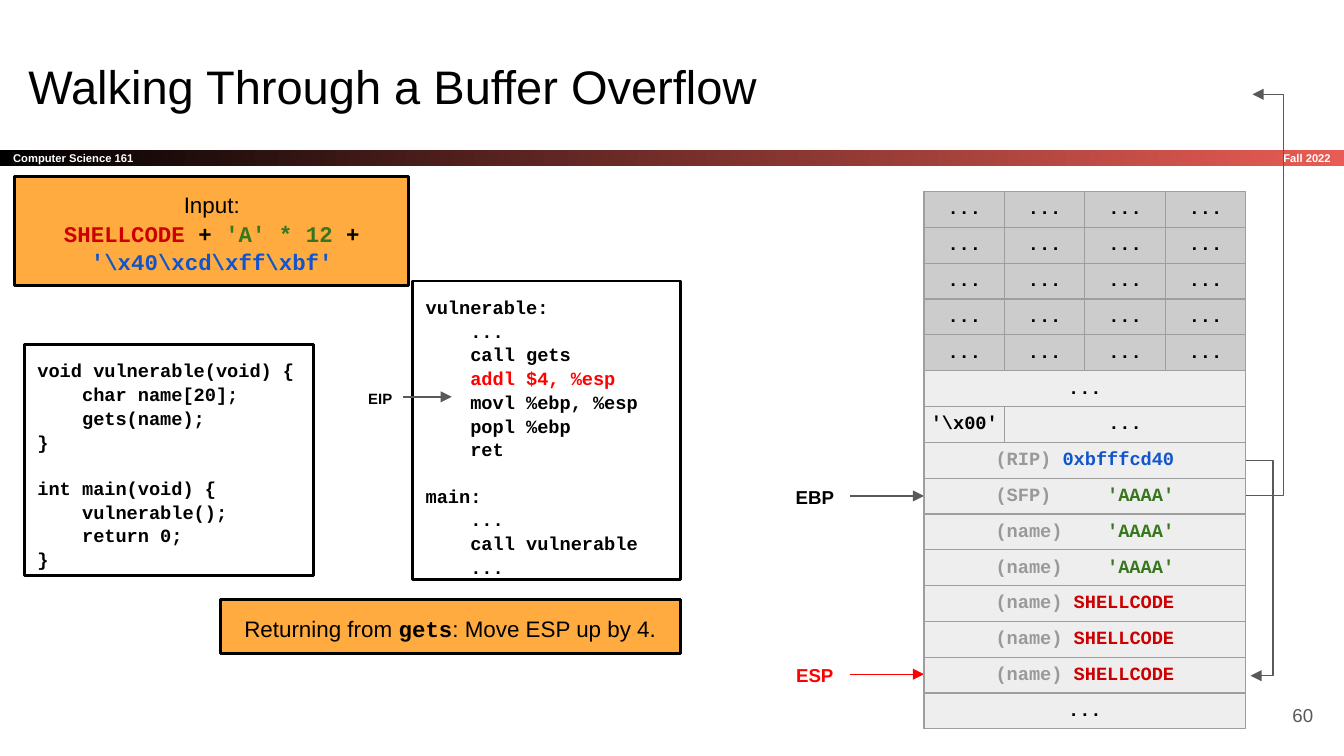
from typing import NamedTuple

from lxml.etree import SubElement
from pptx import Presentation
from pptx.dml.color import RGBColor
from pptx.enum.shapes import MSO_CONNECTOR, MSO_SHAPE
from pptx.enum.text import MSO_ANCHOR as ANCHOR, MSO_AUTO_SIZE, PP_ALIGN as ALIGN
from pptx.oxml.ns import qn
from pptx.util import Pt

BLACK = RGBColor(0x00, 0x00, 0x00)
WHITE = RGBColor(0xFF, 0xFF, 0xFF)
CORAL = RGBColor(0xE8, 0x5C, 0x54)
ORANGE = RGBColor(0xFF, 0xAB, 0x40)
RED = RGBColor(0xFF, 0x00, 0x00)
DARK_RED = RGBColor(0xCC, 0x00, 0x00)
GREEN = RGBColor(0x38, 0x76, 0x1D)
BLUE = RGBColor(0x11, 0x55, 0xCC)
GRAY = RGBColor(0x59, 0x59, 0x59)
LABEL_GRAY = RGBColor(0x99, 0x99, 0x99)
BORDER_GRAY = RGBColor(0x9E, 0x9E, 0x9E)
USED_FILL = RGBColor(0xCC, 0xCC, 0xCC)
FRAME_FILL = RGBColor(0xEE, 0xEE, 0xEE)

SANS, MONO = "Arial", "Courier New"
LINE_SPACING = 1.06
CODE_LINE = 12
STACK_LEFT, STACK_TOP = 495, 102.6
STACK_COL, STACK_ROW = 43.1, 19.2
STACK_CHARS = 16


class Run(NamedTuple):
    text: str
    color: RGBColor = BLACK
    font: str = SANS
    bold: bool = False


class Box(NamedTuple):
    left: float
    top: float
    width: float
    height: float


class Register(NamedTuple):
    name: str
    label: Box
    size: float
    inset: float
    color: RGBColor
    arrow_color: RGBColor
    arrow: tuple[float, float, float]  # start x, end x, y


Lines = list[list[Run]]


def mono(text: str, color: RGBColor = BLACK) -> Run:
    return Run(text, color, MONO, True)


def write(tf, lines: Lines, size: float, align=ALIGN.LEFT, gap: float = 0) -> None:
    """Fill a text frame; an empty line becomes space before the next one."""
    p, pending = None, 0
    for line in lines:
        if not line:
            pending = gap
            continue
        p = tf.paragraphs[0] if p is None else tf.add_paragraph()
        for key, value in dict(alignment=align, line_spacing=LINE_SPACING,
                               space_before=Pt(pending)).items():
            setattr(p, key, value)
        pending = 0
        for run in line:
            r = p.add_run()
            r.text = run.text
            for key, value in dict(name=run.font, size=Pt(size), bold=run.bold).items():
                setattr(r.font, key, value)
            r.font.color.rgb = run.color


def frame(sp, anchor=ANCHOR.TOP, inset: float = 7.2):
    tf = sp.text_frame
    for key, value in dict(word_wrap=True, auto_size=MSO_AUTO_SIZE.NONE,
                           vertical_anchor=anchor).items():
        setattr(tf, key, value)
    for side in ("left", "right", "top", "bottom"):
        setattr(tf, f"margin_{side}", Pt(inset))
    return tf


def add_text(s, box: Box, lines: Lines, size: float, align=ALIGN.LEFT,
             anchor=ANCHOR.TOP, inset: float = 7.2) -> None:
    sp = s.shapes.add_textbox(*map(Pt, box))
    write(frame(sp, anchor, inset), lines, size, align)


def add_panel(s, box: Box, fill: RGBColor, lines: Lines, size: float, align=ALIGN.LEFT) -> None:
    sp = s.shapes.add_shape(MSO_SHAPE.RECTANGLE, *map(Pt, box))
    sp.shadow.inherit = False
    sp.fill.solid()
    sp.fill.fore_color.rgb = fill
    sp.line.color.rgb = BLACK
    sp.line.width = Pt(1.5)
    write(frame(sp), lines, size, align, CODE_LINE)


def add_code(s, box: Box, code: str, highlight: str = "") -> None:
    lines = [[mono(t, RED if t.strip() == highlight else BLACK)] if t else []
             for t in code.splitlines()]
    add_panel(s, box, WHITE, lines, 10)


def style_arrow(sp, color: RGBColor) -> None:
    sp.line.color.rgb = color
    sp.line.width = Pt(0.75)
    ln = sp.element.spPr.find(qn("a:ln"))
    SubElement(ln, qn("a:tailEnd"), type="triangle")


def add_register(s, reg: Register) -> None:
    add_text(s, reg.label, [[Run(reg.name, reg.color, SANS, True)]], reg.size,
             ALIGN.CENTER, inset=reg.inset)
    x1, x2, y = map(Pt, reg.arrow)
    line = s.shapes.add_connector(MSO_CONNECTOR.STRAIGHT, x1, y, x2, y)
    style_arrow(line, reg.arrow_color)
    SubElement(line.element.spPr, qn("a:effectLst"))


def add_pointer(s, start_y: float, turn_x: float, end_x: float, end_y: float) -> None:
    """Bent arrow from the right edge of the stack to a saved address."""
    start_x = STACK_LEFT + 4 * STACK_COL
    points = [(start_x, start_y), (turn_x, start_y), (turn_x, end_y), (end_x, end_y)]
    points = [(Pt(x), Pt(y)) for x, y in points]
    fb = s.shapes.build_freeform(*points[0])
    fb.add_line_segments(points[1:], close=False)
    sp = fb.convert_to_shape()
    sp.shadow.inherit = False
    sp.fill.background()
    style_arrow(sp, GRAY)


def format_cell(cell, fill: RGBColor) -> None:
    tc_pr = cell._tc.get_or_add_tcPr()
    for side in ("lnL", "lnR", "lnT", "lnB"):
        ln = SubElement(tc_pr, qn(f"a:{side}"), w=str(Pt(0.75)))
        color = SubElement(ln, qn("a:solidFill"))
        SubElement(color, qn("a:srgbClr"), val=str(BORDER_GRAY))
    cell.fill.solid()
    cell.fill.fore_color.rgb = fill
    for side, inset in dict(left=1.5, right=1.5, top=3.6, bottom=3.6).items():
        setattr(cell, f"margin_{side}", Pt(inset))


def slot(label: str, value: str, color: RGBColor) -> list[list[Run]]:
    return [[mono(label.ljust(STACK_CHARS - len(value)), LABEL_GRAY), mono(value, color)]]


def add_stack(s) -> None:
    dots = [mono("...")]
    rows = [[dots] * 4] * 5
    rows += [[dots], [[mono(r"'\x00'")], dots],
             slot("(RIP)", "0xbfffcd40", BLUE), slot("(SFP)", "'AAAA'", GREEN)]
    rows += [slot("(name)", "'AAAA'", GREEN)] * 2
    rows += [slot("(name)", "SHELLCODE", DARK_RED)] * 3 + [[dots]]
    size = Box(STACK_LEFT, STACK_TOP, 4 * STACK_COL, len(rows) * STACK_ROW)
    table = s.shapes.add_table(len(rows), 4, *map(Pt, size)).table
    table.first_row = table.horz_banding = False
    for column in table.columns:
        column.width = Pt(STACK_COL)
    for i, row in enumerate(rows):
        table.rows[i].height = Pt(STACK_ROW)
        for j in range(4):
            format_cell(table.cell(i, j), USED_FILL if len(row) == 4 else FRAME_FILL)
        last = len(row) - 1
        if last < 3:
            table.cell(i, last).merge(table.cell(i, 3))
        for j, runs in enumerate(row):
            write(table.cell(i, j).text_frame, [runs], 10, ALIGN.CENTER)


C_CODE = """void vulnerable(void) {
    char name[20];
    gets(name);
}

int main(void) {
    vulnerable();
    return 0;
}"""
ASSEMBLY = """vulnerable:
    ...
    call gets
    addl $4, %esp
    movl %ebp, %esp
    popl %ebp
    ret

main:
    ...
    call vulnerable
    ..."""
REGISTERS = [
    Register("EIP", Box(191.5, 204.5, 24.5, 17), 8, 3.6, BLACK, GRAY, (216, 242, 212.6)),
    Register("EBP", Box(417.3, 252.5, 38.4, 26.6), 10, 7.2, BLACK, GRAY, (455.6, 495, 265.7)),
    Register("ESP", Box(417.3, 348, 38.4, 26.6), 10, 7.2, RED, RED, (455.6, 495, 361.2)),
]


def main() -> None:
    prs = Presentation()
    prs.slide_width, prs.slide_height = Pt(720), Pt(405)
    s = prs.slides.add_slide(prs.slide_layouts[5])

    bar = s.shapes.add_shape(MSO_SHAPE.RECTANGLE, 0, Pt(80.2), Pt(720), Pt(8.6))
    bar.shadow.inherit = False
    bar.line.fill.background()
    bar.fill.gradient()
    bar.fill.gradient_angle = 0
    for stop, color in zip(bar.fill.gradient_stops, (BLACK, CORAL)):
        stop.color.rgb = color
    write(frame(bar, ANCHOR.MIDDLE), [[Run("Computer Science 161", WHITE, SANS, True)]], 6)
    add_text(s, Box(600.5, 80.2, 119.5, 8.6), [[Run("Fall 2022", WHITE, SANS, True)]], 6,
             ALIGN.RIGHT, ANCHOR.MIDDLE)

    title = s.shapes.title
    for key, value in zip(Box._fields, (8, 21.6, 671, 45.4)):
        setattr(title, key, Pt(value))
    write(frame(title), [[Run("Walking Through a Buffer Overflow")]], 25.2)
    add_text(s, Box(667.4, 367.2, 43.2, 31), [[Run("60", GRAY)]], 10, ALIGN.RIGHT, ANCHOR.MIDDLE)

    add_code(s, Box(13, 184.5, 155, 123.8), C_CODE)
    add_code(s, Box(221, 150.5, 143.5, 159.8), ASSEMBLY, "addl $4, %esp")
    for reg in REGISTERS:
        add_register(s, reg)
    add_pointer(s, 265.4, 687.6, 671, 50.5)
    add_stack(s)
    add_pointer(s, 246.8, 682, 670, 362)
    add_panel(s, Box(8, 94.5, 211, 58.3), ORANGE, [
        [Run("Input:")],
        [mono("SHELLCODE", DARK_RED), mono(" + "), mono("'A' * 12", GREEN), mono(" + "),
         mono(r"'\x40\xcd\xff\xbf'", BLUE)]], 12, ALIGN.CENTER)
    add_panel(s, Box(118, 321.3, 246.5, 29), ORANGE, [
        [Run("Returning from "), mono("gets"), Run(": Move ESP up by 4.")]], 12, ALIGN.CENTER)
    prs.save("out.pptx")


if __name__ == "__main__":
    main()
